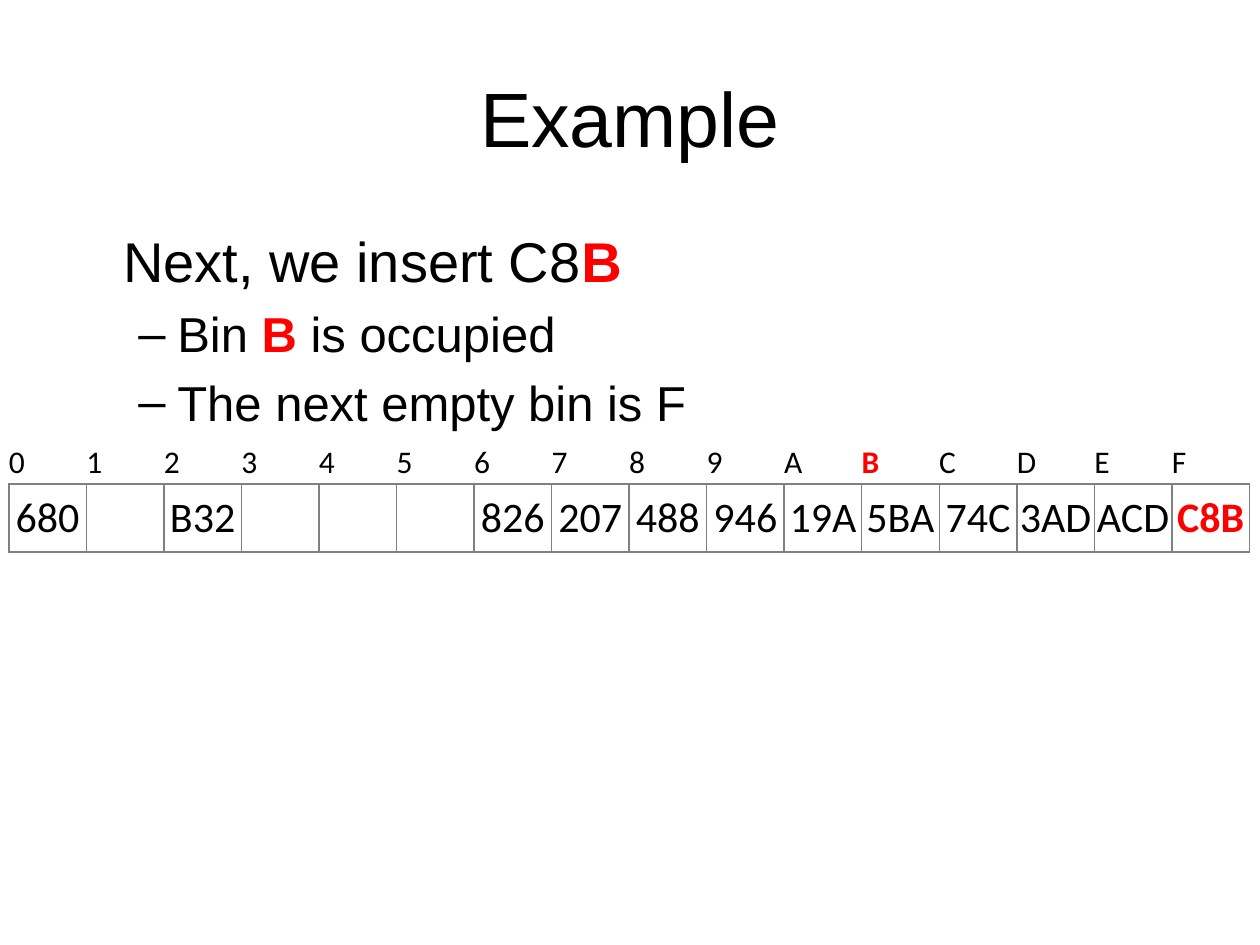
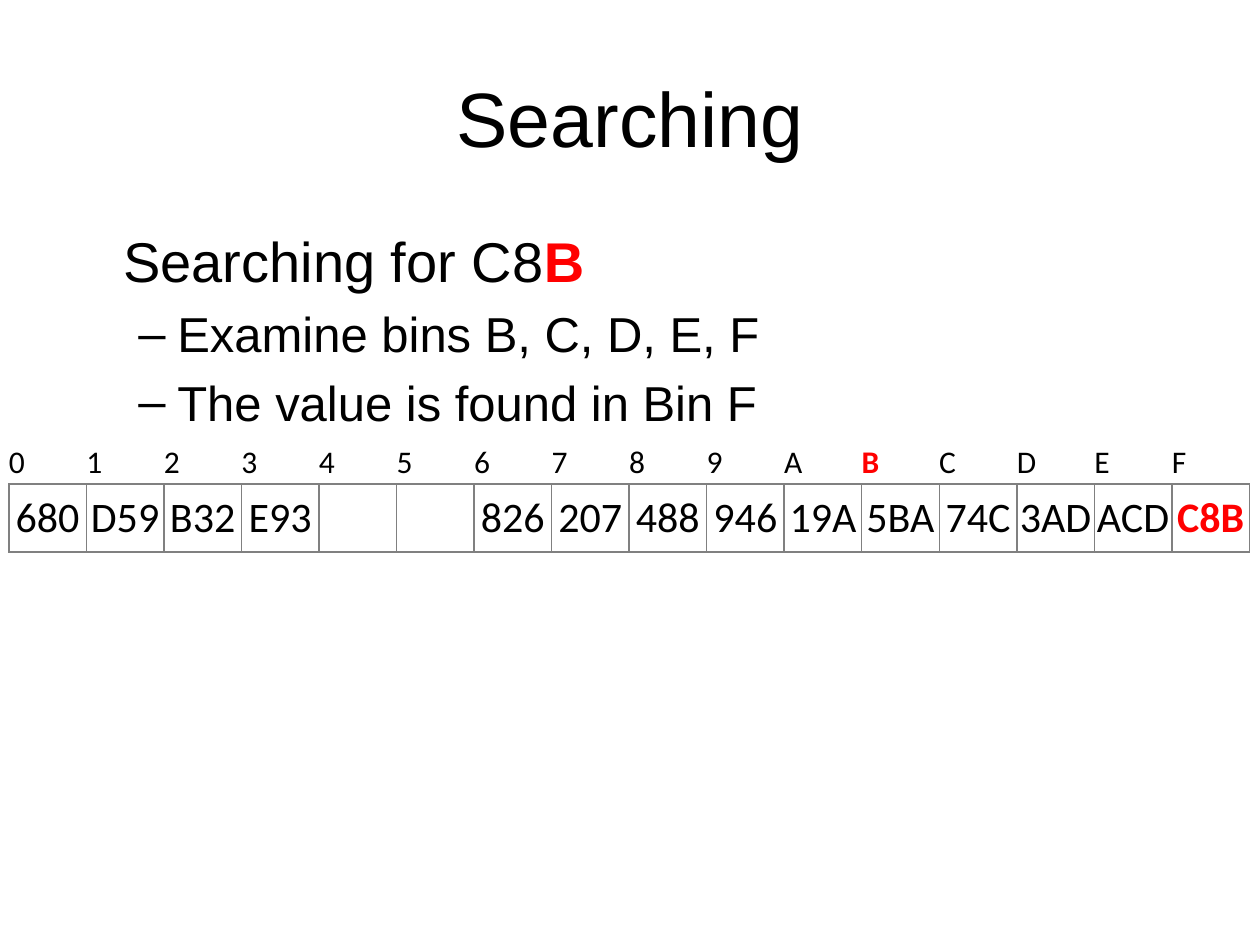
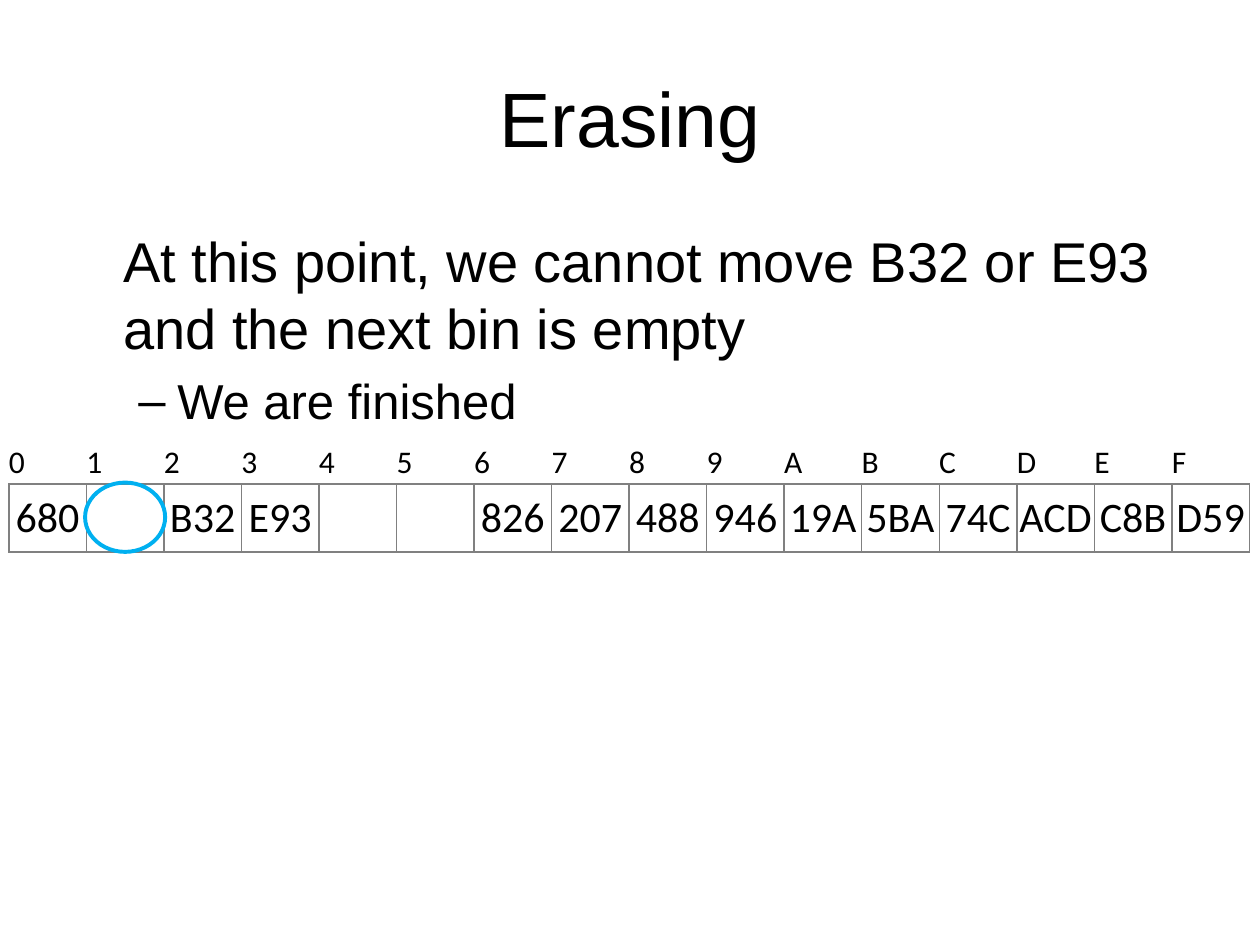
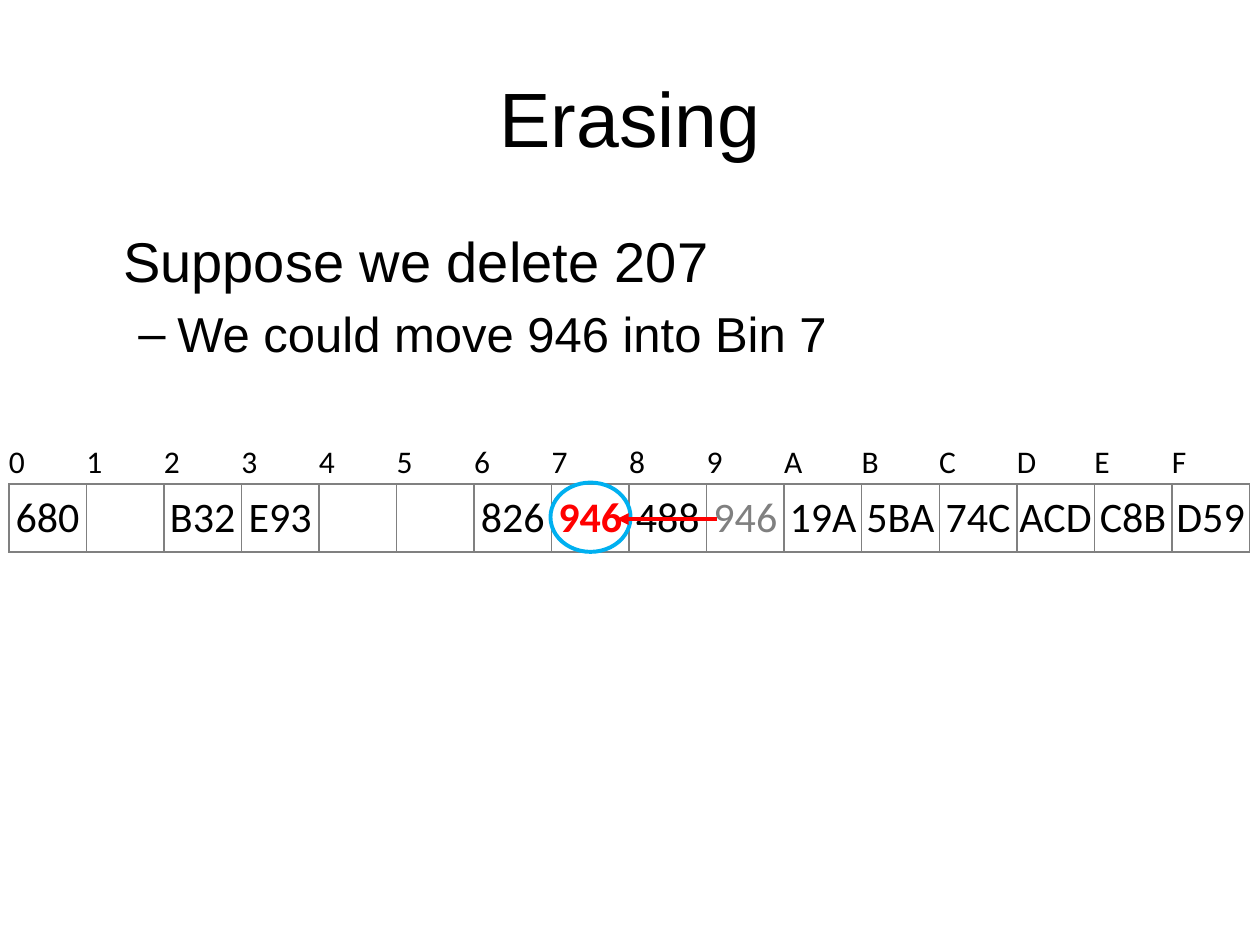
from dataclasses import dataclass

from lxml.etree import SubElement
from pptx import Presentation
from pptx.dml.color import RGBColor
from pptx.enum.shapes import MSO_CONNECTOR, MSO_SHAPE
from pptx.enum.text import MSO_ANCHOR, PP_ALIGN
from pptx.oxml.ns import qn
from pptx.util import Inches, Pt

BINS = "0123456789ABCDEF"
AFTER_ERASE = "680||B32|E93|||826|207|488|946|19A|5BA|74C|ACD|C8B|D59"

# Asterisks enclose emphasised text, tildes enclose faded text.
SLIDES = [
    dict(
        title="Example",
        lead="Next, we insert C8*B*",
        points=["Bin *B* is occupied", "The next empty bin is F"],
        values="680||B32||||826|207|488|946|19A|5BA|74C|3AD|ACD|*C8B*",
        hot_bin="B",
    ),
    dict(
        title="Searching",
        lead="Searching for C8*B*",
        points=["Examine bins B, C, D, E, F", "The value is found in Bin F"],
        values="680|D59|B32|E93|||826|207|488|946|19A|5BA|74C|3AD|ACD|*C8B*",
        hot_bin="B",
    ),
    dict(
        title="Erasing",
        lead="At this point, we cannot move B32 or E93 and the next bin is empty",
        points=["We are finished"],
        values=AFTER_ERASE,
        ring="1",
    ),
    dict(
        title="Erasing",
        lead="Suppose we delete 207",
        points=["We could move 946 into Bin 7"],
        values=AFTER_ERASE.replace("946", "~946~").replace("207", "*946*"),
        ring="7",
        move=("9", "7"),
    ),
]


@dataclass(frozen=True)
class Theme:
    ink: str = "000000"
    hot: str = "FF0000"
    faded: str = "808080"
    ring: str = "00B0F0"
    font: str = "Arial"
    table_font: str = "Calibri"
    title: int = 44
    lead: int = 32
    point: int = 28
    bin: int = 18
    value: int = 24
    grid: float = 1
    stroke: float = 2.25


T = Theme()
TITLE_BOX = (0.5, 0.3, 9, 1.25)
BODY_BOX = (0.5, 1.75, 9, 4.95)
LEFT, TOP, WIDTH = 0.07, 3.51, 9.85
BIN_H, VALUE_H = 0.33, 0.54
COL = WIDTH / len(BINS)
NO_STYLE = "{2D5ABB26-0587-4C30-8999-92F81FD0307C}"


def bin_x(name):
    return LEFT + BINS.index(name) * COL


def box(*lengths):
    return [Inches(v) for v in lengths]


def write(p, text, size, font=T.font, align=PP_ALIGN.LEFT, before=0):
    p.alignment = align
    p.space_before = Pt(before)
    faded = text.startswith("~")
    for i, part in enumerate(text.strip("~").split("*")):
        if part:
            r = p.add_run()
            r.text = part
            r.font.size, r.font.name, r.font.bold = Pt(size), font, i % 2 == 1
            color = T.hot if i % 2 else T.faded if faded else T.ink
            r.font.color.rgb = RGBColor.from_string(color)


def indent(p, margin, hang=0, bullet=None):
    pPr = p._p.get_or_add_pPr()
    pPr.set("marL", str(Inches(margin)))
    pPr.set("indent", str(-Inches(hang)))
    if bullet:
        SubElement(pPr, qn("a:buFont"), typeface=T.font)
        SubElement(pPr, qn("a:buChar"), char=bullet)


def add_title(s, text):
    sp = s.shapes.title
    sp.left, sp.top, sp.width, sp.height = box(*TITLE_BOX)
    sp.text_frame.vertical_anchor = MSO_ANCHOR.MIDDLE
    write(sp.text_frame.paragraphs[0], text, T.title, align=PP_ALIGN.CENTER)


def add_body(s, lead, points):
    tf = s.shapes.add_textbox(*box(*BODY_BOX)).text_frame
    tf.word_wrap = True
    p = tf.paragraphs[0]
    write(p, lead, T.lead, before=T.lead * 0.2)
    indent(p, 0.38)
    for point in points:
        p = tf.add_paragraph()
        p.level = 1
        write(p, point, T.point, before=T.point * 0.2)
        indent(p, 0.81, 0.31, "–")


def border(cell, sides):
    tcPr = cell._tc.get_or_add_tcPr()
    for i, side in enumerate(sides):
        ln = tcPr.makeelement(qn(f"a:ln{side}"), {"w": str(Pt(T.grid))})
        SubElement(SubElement(ln, qn("a:solidFill")), qn("a:srgbClr"), val=T.faded)
        tcPr.insert(i, ln)


def add_bins(s, values, hot_bin):
    frame = s.shapes.add_table(2, len(BINS), *box(LEFT, TOP, WIDTH, BIN_H + VALUE_H))
    table = frame.table
    table.first_row = table.horz_banding = False
    next(frame._element.iter(qn("a:tableStyleId"))).text = NO_STYLE
    for col in table.columns:
        col.width = Inches(COL)
    names = [f"*{b}*" if b == hot_bin else b for b in BINS]
    rows = [
        (names, BIN_H, T.bin, PP_ALIGN.LEFT, "B"),
        (values.split("|"), VALUE_H, T.value, PP_ALIGN.CENTER, "LRTB"),
    ]
    for row, (texts, height, size, align, sides) in enumerate(rows):
        table.rows[row].height = Inches(height)
        for col, text in enumerate(texts):
            cell = table.cell(row, col)
            cell.margin_left = cell.margin_right = 0
            cell.margin_top = cell.margin_bottom = 0
            cell.vertical_anchor = MSO_ANCHOR.MIDDLE
            cell.fill.background()
            border(cell, sides)
            write(cell.text_frame.paragraphs[0], text, size, T.table_font, align)


def stroke(line, color):
    line.color.rgb = RGBColor.from_string(color)
    line.width = Pt(T.stroke)


def add_ring(s, name):
    spot = box(bin_x(name) - 0.01, TOP + BIN_H - 0.01, COL + 0.02, VALUE_H + 0.01)
    sp = s.shapes.add_shape(MSO_SHAPE.OVAL, *spot)
    sp.shadow.inherit = False
    sp.fill.background()
    stroke(sp.line, T.ring)


def add_move(s, source, target):
    y = TOP + BIN_H + VALUE_H / 2 + 0.01
    ends = box(bin_x(source) + 0.08, y, bin_x(target) + COL - 0.1, y)
    arrow = s.shapes.add_connector(MSO_CONNECTOR.STRAIGHT, *ends)
    stroke(arrow.line, T.hot)
    SubElement(arrow.line._get_or_add_ln(), qn("a:tailEnd"), type="triangle")
    SubElement(arrow._element.spPr, qn("a:effectLst"))


def main():
    prs = Presentation()
    prs.slide_width, prs.slide_height = box(10, 7.5)
    for item in SLIDES:
        s = prs.slides.add_slide(prs.slide_layouts[5])
        add_title(s, item["title"])
        add_body(s, item["lead"], item["points"])
        add_bins(s, item["values"], item.get("hot_bin"))
        if "ring" in item:
            add_ring(s, item["ring"])
        if "move" in item:
            add_move(s, *item["move"])
    prs.save("out.pptx")


if __name__ == "__main__":
    main()
